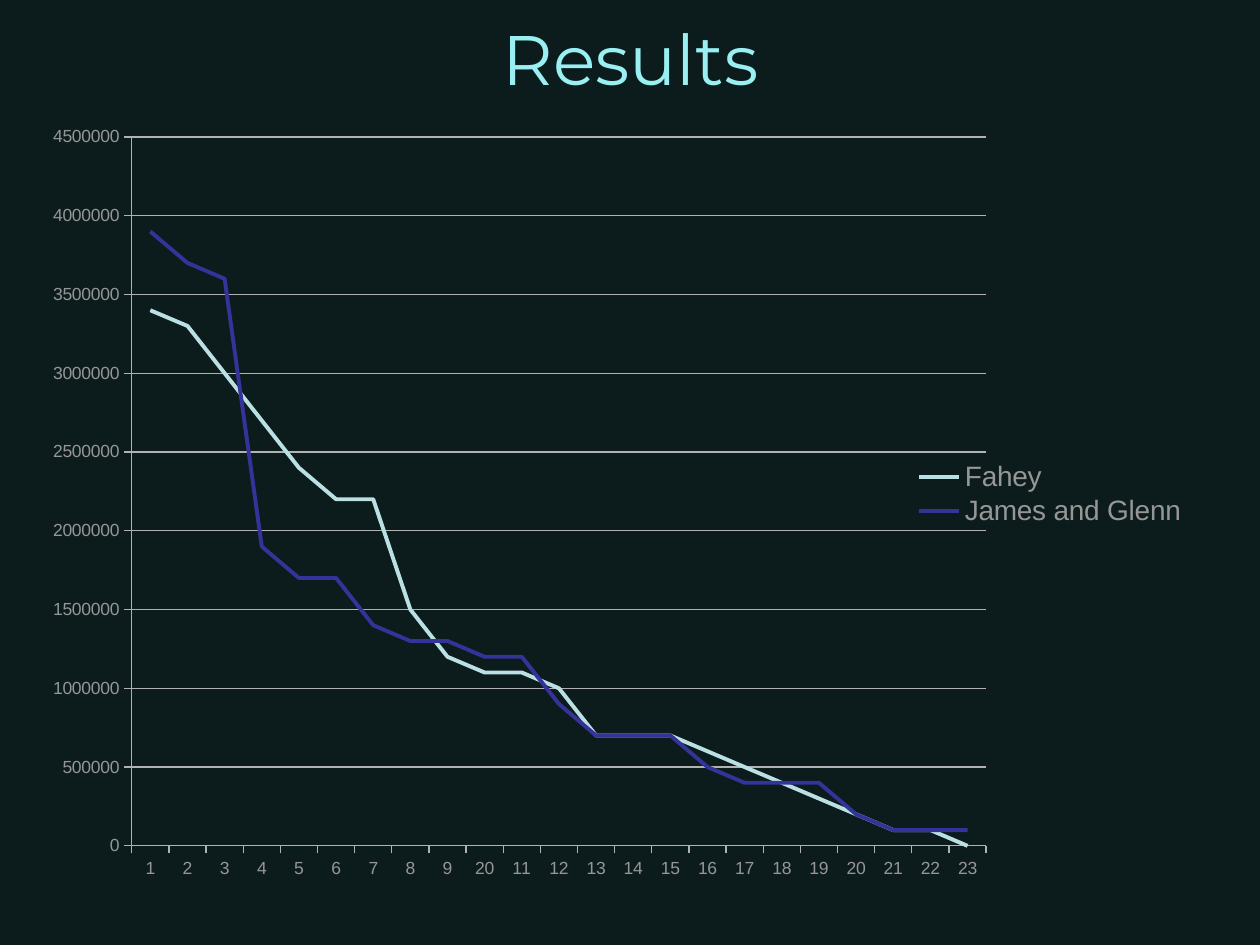
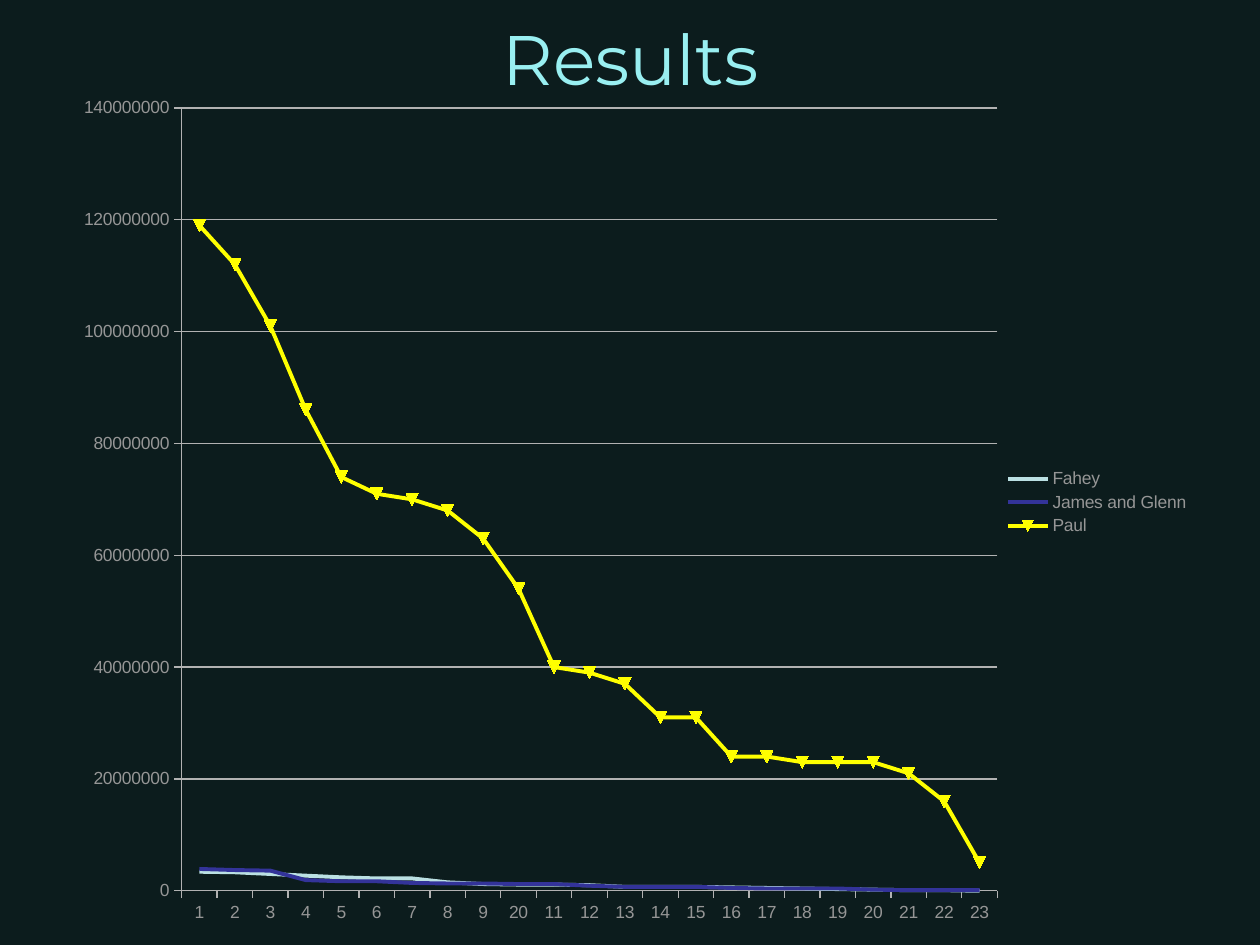
import pptx
import pptx.chart.data
import pptx.dml.color
import pptx.enum.chart
import pptx.enum.text
import pptx.oxml
import pptx.oxml.ns
import pptx.util

# Theme: colours, fonts and type sizes
theme = {
    "back": "0C1C1D", "title": "99EFF1", "label": "969696", "grid": "B2B2B2",
    "Fahey": "BBE0E3", "James and Glenn": "333399", "Paul": "FFFF00",
    "head_font": "Montserrat", "body_font": "Arial",
    "head_size": 40, "axis_size": 10, "line": 2.25, "rule": 0.75,
}
scale = 914400 / 126


def px(count):
    return pptx.util.Emu(round(count * scale))


def color(name):
    return pptx.dml.color.RGBColor.from_string(theme[name])


def write(frame, text, font, size, ink, align):
    frame.text = text
    frame.word_wrap = True
    frame.auto_size = pptx.enum.text.MSO_AUTO_SIZE.NONE
    frame.vertical_anchor = pptx.enum.text.MSO_ANCHOR.MIDDLE
    line = frame.paragraphs[0]
    line.alignment = align
    style = line.runs[0].font
    style.name = font
    style.size = pptx.util.Pt(size)
    style.color.rgb = color(ink)


def place(part, box, frame, inner=False):
    # Set a fixed layout inside the chart; box and frame are in px
    left, top, wide, high = frame
    shares = {
        "x": (box[0] - left) / wide, "y": (box[1] - top) / high,
        "w": box[2] / wide, "h": box[3] / high,
    }
    tags = '<c:layoutTarget val="inner"/>' if inner else ""
    tags += '<c:xMode val="edge"/><c:yMode val="edge"/>'
    tags += "".join(f'<c:{key} val="{val:.4f}"/>' for key, val in shares.items())
    space = pptx.oxml.ns.nsdecls("c")
    layout = pptx.oxml.parse_xml(
        f"<c:layout {space}><c:manualLayout>{tags}</c:manualLayout></c:layout>")
    for old in part.findall(pptx.oxml.ns.qn("c:layout")):
        part.remove(old)
    # The layout comes first in a plot area and after the position in a legend
    part.insert(0 if inner else 1, layout)


# Data, in the unit given beside each series
cats = [str(n) for n in range(1, 24)]
cats[9] = "20"
data = {
    "Fahey": (100000, [34, 33, 30, 27, 24, 22, 22, 15, 12, 11, 11, 10,
                       7, 7, 7, 6, 5, 4, 3, 2, 1, 1, 0]),
    "James and Glenn": (100000, [39, 37, 36, 19, 17, 17, 14, 13, 13, 12, 12, 9,
                                 7, 7, 7, 5, 4, 4, 4, 2, 1, 1, 1]),
    "Paul": (1000000, [119, 112, 101, 86, 74, 71, 70, 68, 63, 54, 40, 39,
                       37, 31, 31, 24, 24, 23, 23, 23, 21, 16, 5]),
}

# What differs between the slides; boxes are left, top, width, height in px
pages = [
    {"names": ["Fahey", "James and Glenn"], "frame": (53, 116, 1144, 764),
     "plot": (131, 137, 855, 709), "key": (910, 458, 280, 72),
     "key_size": 16, "top": 4500000, "step": 500000},
    {"names": ["Fahey", "James and Glenn", "Paul"], "frame": (84, 84, 1113, 840),
     "plot": (180, 108, 817, 783), "key": (1002, 465, 190, 75),
     "key_size": 10, "top": 140000000, "step": 20000000},
]

deck = pptx.Presentation()
deck.slide_width = px(1260)
deck.slide_height = px(945)
fill = deck.slide_master.background.fill
fill.solid()
fill.fore_color.rgb = color("back")

for page in pages:
    # Title
    slide = deck.slides.add_slide(deck.slide_layouts[5])
    title = slide.shapes.title
    title.left, title.top, title.width, title.height = map(px, (32, 0, 1197, 116))
    write(title.text_frame, "Results", font=theme["head_font"],
          size=theme["head_size"], ink="title",
          align=pptx.enum.text.PP_ALIGN.CENTER)

    # Chart
    table = pptx.chart.data.CategoryChartData(number_format="0")
    table.categories = cats
    for name in page["names"]:
        unit, vals = data[name]
        table.add_series(name, [val * unit for val in vals])
    chart = slide.shapes.add_chart(
        pptx.enum.chart.XL_CHART_TYPE.LINE, *map(px, page["frame"]), table).chart
    chart.has_title = False
    chart.font.name = theme["body_font"]
    chart.font.size = pptx.util.Pt(theme["axis_size"])
    chart.font.color.rgb = color("label")
    place(chart.plots[0]._element.getparent(), page["plot"], page["frame"], inner=True)

    # Axes and grid
    scaler = chart.value_axis
    scaler.minimum_scale = 0
    scaler.maximum_scale = page["top"]
    scaler.major_unit = page["step"]
    scaler.has_major_gridlines = True
    scaler.tick_labels.number_format = "0"
    scaler.tick_labels.number_format_is_linked = False
    for axis in (chart.category_axis, scaler):
        axis.major_tick_mark = pptx.enum.chart.XL_TICK_MARK.OUTSIDE
        axis.minor_tick_mark = pptx.enum.chart.XL_TICK_MARK.NONE
    for rule in (chart.category_axis, scaler, scaler.major_gridlines):
        rule.format.line.color.rgb = color("grid")
        rule.format.line.width = pptx.util.Pt(theme["rule"])

    # Series
    for series in chart.plots[0].series:
        series.smooth = False
        series.format.line.color.rgb = color(series.name)
        series.format.line.width = pptx.util.Pt(theme["line"])
        mark = series.marker
        mark.style = pptx.enum.chart.XL_MARKER_STYLE.NONE
        if series.name == "Paul":
            mark.style = pptx.enum.chart.XL_MARKER_STYLE.AUTOMATIC
            mark.size = 7
            mark.format.fill.solid()
            mark.format.fill.fore_color.rgb = color("Paul")
            mark.format.line.color.rgb = color("Paul")

    # Legend
    chart.has_legend = True
    legend = chart.legend
    legend.position = pptx.enum.chart.XL_LEGEND_POSITION.RIGHT
    legend.include_in_layout = False
    legend.font.name = theme["body_font"]
    legend.font.size = pptx.util.Pt(page["key_size"])
    legend.font.color.rgb = color("label")
    place(legend._element, page["key"], page["frame"])

deck.save("out.pptx")
